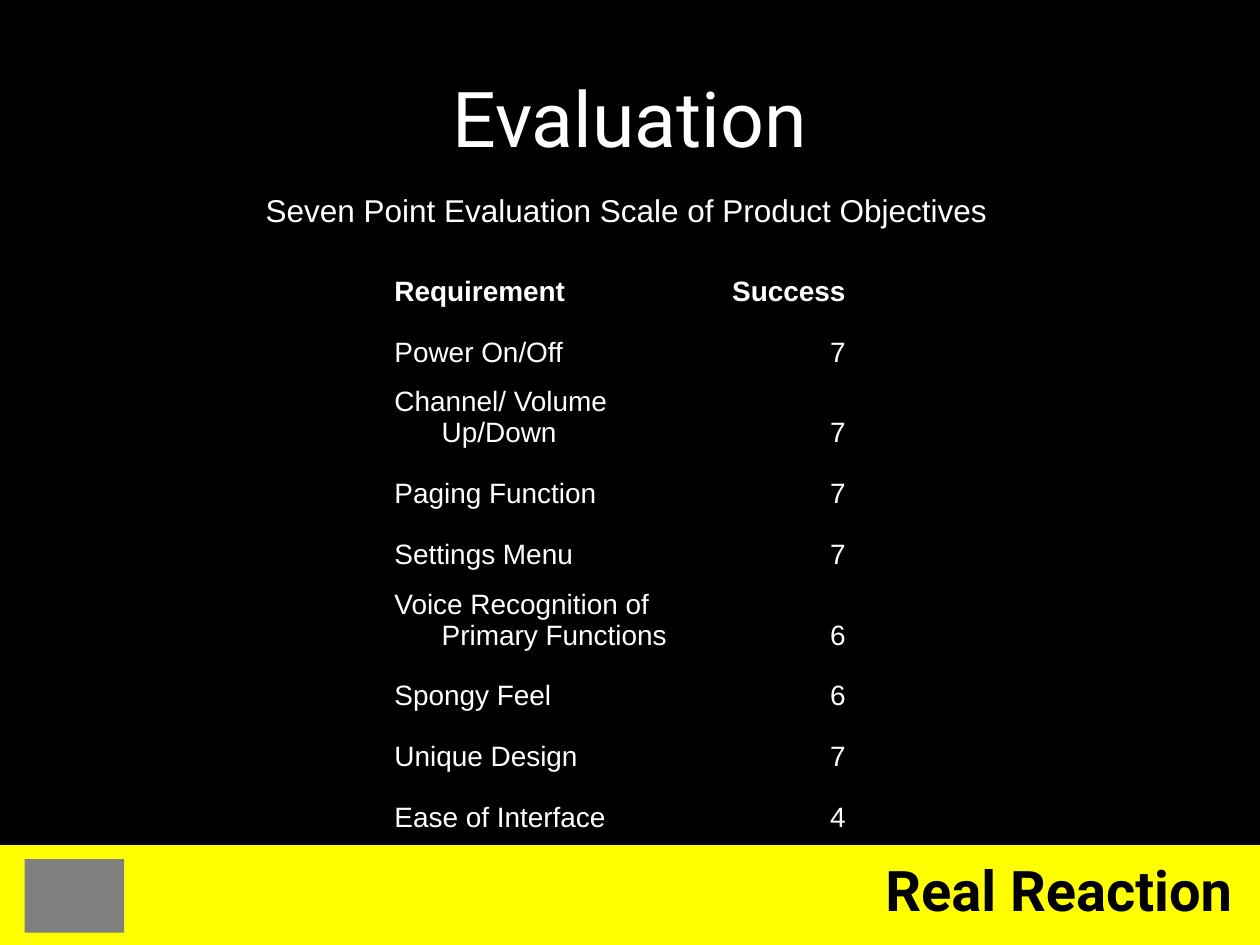
from typing import NamedTuple

from pptx import Presentation
from pptx import util as u
from pptx.dml.color import RGBColor
from pptx.enum import shapes, text

Pt = u.Pt
HEX = {"black": "000000", "white": "FFFFFF", "yellow": "FFFF00", "gray": "808080"}
ALIGN = text.PP_ALIGN
PLAIN = "{2D5ABB26-0587-4C30-8999-92F81FD0307C}"  # table style without grid


class Box(NamedTuple):
    left: float
    top: float
    width: float
    height: float


class Look(NamedTuple):
    size: float
    face: str = "Arial"
    color: str = "white"
    bold: bool = False
    align: ALIGN = ALIGN.LEFT


class Label(NamedTuple):
    words: str
    box: Box
    look: Look
    anchor: text.MSO_ANCHOR = text.MSO_ANCHOR.TOP


class Score(NamedTuple):
    need: str
    mark: str
    lines: int = 1


BAND = Box(0, 483, 720, 57)
EMBLEM = Box(14, 491, 57, 42)
LABELS = [
    Label("Real Reaction", Box(360, 485.3, 351.4, 46),
          Look(32, "Roboto", "black", True, ALIGN.RIGHT)),
    Label("Evaluation", Box(36, 21.6, 648, 90),
          Look(44, "Roboto", align=ALIGN.CENTER), text.MSO_ANCHOR.MIDDLE),
    Label("Seven Point Evaluation Scale of Product Objectives",
          Box(144.7, 105.8, 476, 29), Look(18)),
]

GRID = Box(218.2, 116.6, 272.2, 363.2)
COLS = (193, 79.2)
HEAD = 62.6
ROWS = {1: 34.7, 2: 46.2}  # row height by number of text lines
HANG = 27
SCORES = [
    Score("Power On/Off", "7"),
    Score("Channel/ Volume Up/Down", "7", 2),
    Score("Paging Function", "7"),
    Score("Settings Menu", "7"),
    Score("Voice Recognition of Primary Functions", "6", 2),
    Score("Spongy Feel", "6"),
    Score("Unique Design", "7"),
    Score("Ease of Interface", "4"),
]


def rgb(name: str) -> RGBColor:
    return RGBColor.from_string(HEX[name])


def place(box: Box) -> list:
    return [Pt(side) for side in box]


def style(para, look: Look) -> None:
    para.alignment = look.align
    font = para.font
    font.size, font.name, font.bold = Pt(look.size), look.face, look.bold
    font.color.rgb = rgb(look.color)


def add_block(slide, box: Box, color: str) -> None:
    block = slide.shapes.add_shape(shapes.MSO_SHAPE.RECTANGLE, *place(box))
    block.shadow.inherit = False
    block.fill.solid()
    block.fill.fore_color.rgb = rgb(color)
    block.line.fill.background()


def add_label(slide, label: Label) -> None:
    frame = slide.shapes.add_textbox(*place(label.box)).text_frame
    frame.word_wrap = True
    frame.vertical_anchor = label.anchor
    para = frame.paragraphs[0]
    para.text = label.words
    style(para, label.look)


def fill_cell(cell, words: str, look: Look) -> None:
    """Write a bottom-aligned cell with a hanging indent."""
    cell.fill.background()
    cell.vertical_anchor = text.MSO_ANCHOR.BOTTOM
    para = cell.text_frame.paragraphs[0]
    para.text = words
    props = para._p.get_or_add_pPr()
    props.set("marL", str(Pt(HANG)))
    props.set("indent", str(-Pt(HANG)))
    style(para, look)


def add_scores(slide) -> None:
    frame = slide.shapes.add_table(len(SCORES) + 1, len(COLS), *place(GRID))
    table = frame.table
    table.first_row = table.horz_banding = False
    table._tbl.tblPr.find("{*}tableStyleId").text = PLAIN
    for col, width in zip(table.columns, COLS):
        col.width = Pt(width)
    table.rows[0].height = Pt(HEAD)
    for i, words in enumerate(("Requirement", "Success")):
        fill_cell(table.cell(0, i), words, Look(16, bold=True))
    for i, score in enumerate(SCORES, 1):
        table.rows[i].height = Pt(ROWS[score.lines])
        fill_cell(table.cell(i, 0), score.need, Look(16))
        fill_cell(table.cell(i, 1), score.mark, Look(16, align=ALIGN.RIGHT))


def main() -> None:
    deck = Presentation()
    deck.slide_width, deck.slide_height = Pt(720), Pt(540)
    slide = deck.slides.add_slide(deck.slide_layouts[6])
    back = slide.background.fill
    back.solid()
    back.fore_color.rgb = rgb("black")
    add_block(slide, BAND, "yellow")
    add_block(slide, EMBLEM, "gray")
    add_scores(slide)
    for label in LABELS:
        add_label(slide, label)
    deck.save("out.pptx")


if __name__ == "__main__":
    main()
